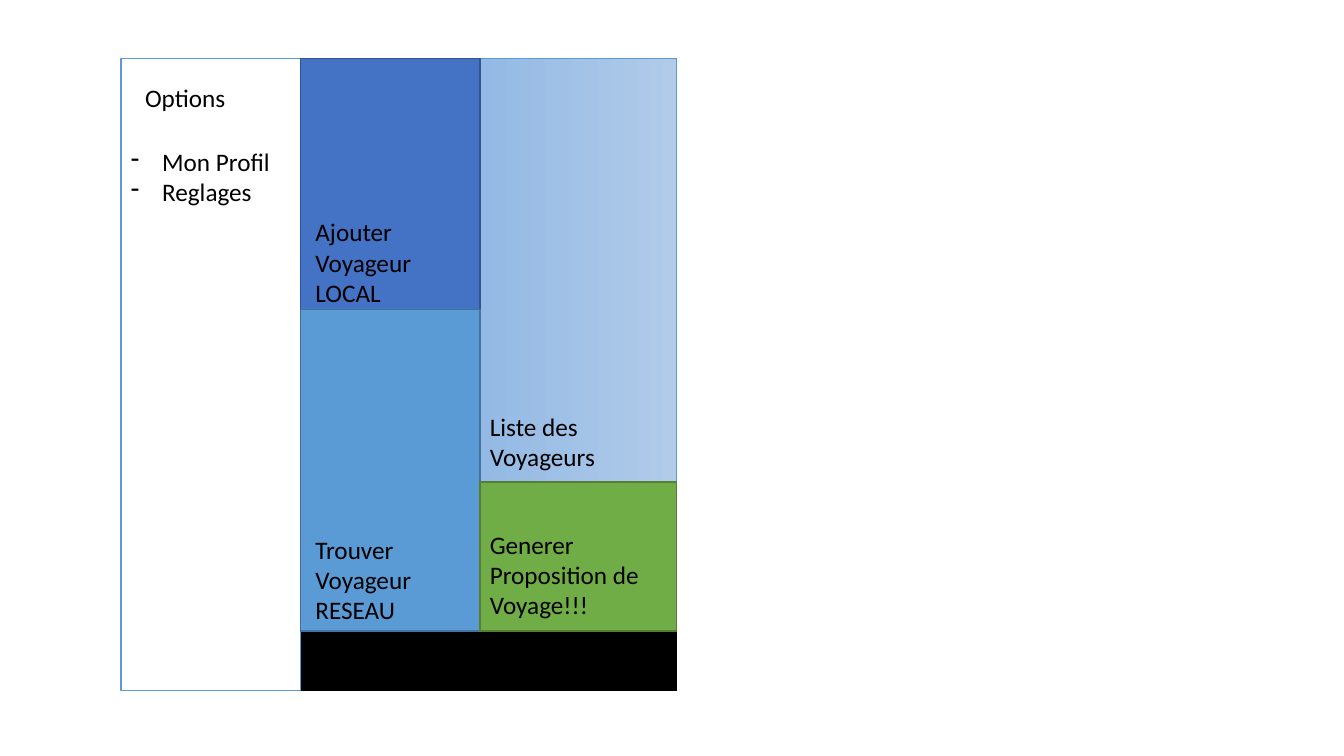
from lxml import etree
from pptx import Presentation
from pptx.dml.color import RGBColor
from pptx.enum.shapes import MSO_SHAPE
from pptx.oxml.ns import qn
from pptx.util import Inches, Pt

COLORS = {
    "black": "000000", "white": "FFFFFF",
    "sky": "5B9BD5", "sky_line": "43739E",
    "blue": "4472C4", "blue_line": "325491",
    "green": "70AD47", "green_line": "538035",
    "pale_left": "93B9E4", "pale_right": "B1CBE9",
}


def rgb(name):
    return RGBColor.from_string(COLORS[name])


prs = Presentation()
prs.slide_width, prs.slide_height = Inches(13.33), Inches(7.5)
s = prs.slides.add_slide(prs.slide_layouts[6])

# Columns and rows of the app screen
MENU, LEFT, RIGHT, END = 1.2, 2.98, 4.76, 6.71
TOP, ADD_END, LIST_END, BAR, BOTTOM = 0.58, 3.07, 4.78, 6.26, 6.85

# left, top, right, bottom, fill (a pair is a gradient), line, line width
panels = [
    (LEFT, TOP, END, BOTTOM, "sky", "sky_line", 1),
    (LEFT, BAR, END, BOTTOM, "black", "black", 1),
    (MENU, TOP, LEFT, BOTTOM, "white", "sky", 1),
    (RIGHT, TOP, END, LIST_END, ("pale_left", "pale_right"), "sky", 0.5),
    (LEFT, TOP, RIGHT, ADD_END, "blue", "blue_line", 1),
    (LEFT, ADD_END, RIGHT, BAR, "sky", "sky_line", 1),
    (RIGHT, LIST_END, END, BAR, "green", "green_line", 1),
]
for left, top, right, bottom, fill, line, width in panels:
    sp = s.shapes.add_shape(MSO_SHAPE.RECTANGLE, Inches(left), Inches(top),
                            Inches(right - left), Inches(bottom - top))
    sp.shadow.inherit = False
    if isinstance(fill, tuple):
        sp.fill.gradient()
        sp.fill.gradient_angle = 0
        for stop, name in zip(sp.fill.gradient_stops, fill):
            stop.color.rgb = rgb(name)
    else:
        sp.fill.solid()
        sp.fill.fore_color.rgb = rgb(fill)
    sp.line.color.rgb = rgb(line)
    sp.line.width = Pt(width)

# left, top, width, height, text, bulleted
labels = [
    (1.34, 0.77, 1.43, 0.4, "Options", False),
    (RIGHT, 4.03, 1.68, 0.71, "Liste des Voyageurs", False),
    (3.03, 2.1, 1.68, 1.01, "Ajouter Voyageur LOCAL", False),
    (3.03, 5.25, 1.68, 1.01, "Trouver Voyageur\nRESEAU", False),
    (MENU, 1.4, 1.69, 0.71, "Mon Profil\nReglages", True),
    (RIGHT, 5.2, 1.9, 1.01, "Generer Proposition de Voyage!!!", False),
]
for left, top, width, height, label, bulleted in labels:
    box = s.shapes.add_textbox(Inches(left), Inches(top), Inches(width), Inches(height))
    tf = box.text_frame
    tf.word_wrap = True
    tf.text = label
    for p in tf.paragraphs:
        if bulleted:
            pPr = p._p.get_or_add_pPr()
            pPr.set("marL", str(Inches(0.31)))
            pPr.set("indent", str(-Inches(0.31)))
            etree.SubElement(pPr, qn("a:buChar")).set("char", "-")
        for r in p.runs:
            r.font.name = "Calibri"
            r.font.size = Pt(18)
            r.font.color.rgb = rgb("black")

prs.save("out.pptx")
